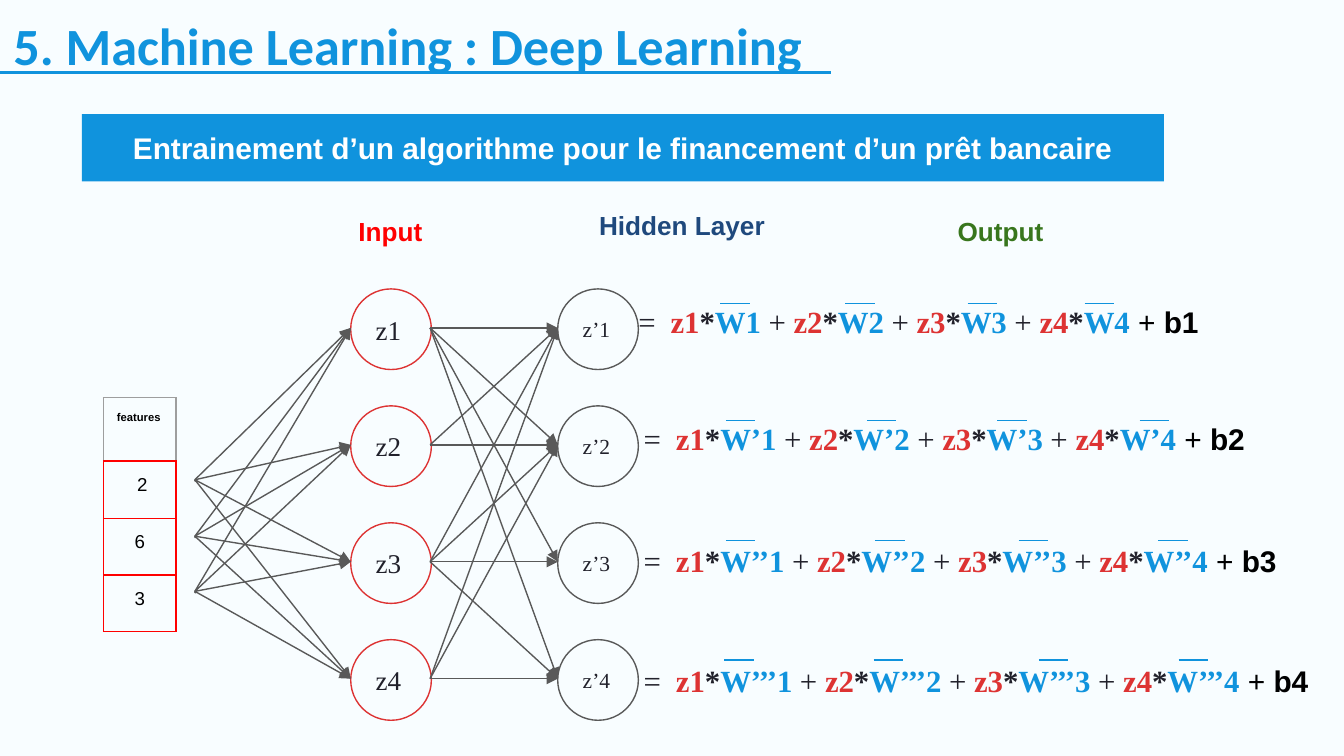
from lxml import etree
from pptx import Presentation
from pptx.dml.color import RGBColor
from pptx.enum.shapes import MSO_CONNECTOR as Connector, MSO_SHAPE as Shape
from pptx.enum.text import MSO_ANCHOR as Anchor, MSO_AUTO_SIZE as AutoSize, PP_ALIGN as Align
from pptx.oxml.ns import qn
from pptx.util import Inches, Pt

COLORS = {
    "background": "F8FDFF", "blue": "1093DD", "red": "DD3333", "pure_red": "FF0000",
    "gray": "595959", "light": "EEEEEE", "border": "9E9E9E", "ink": "21212B",
    "black": "000000", "white": "FFFFFF", "green": "38761D", "navy": "1F497D",
}
SERIF = "Times New Roman"
NODE_SIZE = 0.6
NODE_TOPS = [2.15 + 0.87 * row for row in range(4)]
INPUT_LEFT, HIDDEN_LEFT = 2.61, 4.15
FEATURE_X, FEATURE_YS = 1.45, [3.57, 3.99, 4.4]
MISSING_LINKS = {(1, 2), (1, 3), (3, 2)}

# Left, top and width of each equation, then its bar height and bar starts
EQUATIONS = [
    (4.54, 2.15, 5.06, 2.26, [5.36, 6.29, 7.2, 8.07]),
    (4.58, 3.02, 5.06, 3.13, [5.4, 6.45, 7.42, 8.48]),
    (4.58, 3.93, 5.06, 4.02, [5.4, 6.51, 7.58, 8.62]),
    (4.58, 4.82, 5.4, 4.91, [5.39, 6.5, 7.73, 8.77]),
]


def rgb(name):
    return RGBColor.from_string(COLORS[name])


def style_font(font, size, color, name="Arial", bold=False):
    font.size, font.name, font.bold = Pt(size), name, bold
    font.color.rgb = rgb(color)


def set_frame(frame, vertical=0.1, anchor=Anchor.TOP, grow=False):
    frame.margin_left = frame.margin_right = Inches(0.1)
    frame.margin_top = frame.margin_bottom = Inches(vertical)
    frame.vertical_anchor = anchor
    frame.word_wrap = True
    frame.auto_size = AutoSize.SHAPE_TO_FIT_TEXT if grow else AutoSize.NONE


def write(frame, text, size, color, name="Arial", bold=False, align=Align.LEFT):
    paragraph = frame.paragraphs[0]
    paragraph.text = text
    paragraph.alignment = align
    style_font(paragraph.font, size, color, name, bold)


def add_shape(slide, kind, left, top, width, height, fill=None, line=None):
    shape = slide.shapes.add_shape(
        kind, Inches(left), Inches(top), Inches(width), Inches(height))
    shape.shadow.inherit = False
    if fill:
        shape.fill.solid()
        shape.fill.fore_color.rgb = rgb(fill)
    else:
        shape.fill.background()
    if line:
        shape.line.color.rgb = rgb(line)
        shape.line.width = Pt(0.75)
    else:
        shape.line.fill.background()
    return shape


def add_line(slide, start, end, color, width=0.75, arrow=False):
    connector = slide.shapes.add_connector(
        Connector.STRAIGHT, *[Inches(value) for value in (*start, *end)])
    connector.line.color.rgb = rgb(color)
    connector.line.width = Pt(width)
    if arrow:
        etree.SubElement(connector.line._get_or_add_ln(), qn("a:tailEnd"), type="triangle")
    etree.SubElement(connector._element.spPr, qn("a:effectLst"))


def add_textbox(slide, left, top, width, height):
    box = slide.shapes.add_textbox(
        Inches(left), Inches(top), Inches(width), Inches(height))
    set_frame(box.text_frame, grow=True)
    return box.text_frame


def add_title(slide):
    title = slide.shapes.title
    title.left, title.top = Inches(0), Inches(0)
    title.width, title.height = Inches(8.94), Inches(0.67)
    set_frame(title.text_frame, grow=True)
    write(title.text_frame, "5. Machine Learning : Deep Learning", 28, "blue", "Calibri", True)
    add_line(slide, (0, 0.54), (6.18, 0.54), "blue", 1.5)


def add_banner(slide):
    banner = add_shape(slide, Shape.RECTANGLE, 0.61, 0.85, 8.05, 0.5, fill="blue")
    set_frame(banner.text_frame, 0.05, Anchor.MIDDLE)
    write(banner.text_frame, "Entrainement d’un algorithme pour le financement d’un prêt bancaire",
          16, "white", bold=True, align=Align.CENTER)


def add_node_column(slide, left, prefix, size, line):
    for number, top in enumerate(NODE_TOPS, 1):
        node = add_shape(slide, Shape.OVAL, left, top, NODE_SIZE, NODE_SIZE, line=line)
        set_frame(node.text_frame, anchor=Anchor.MIDDLE)
        write(node.text_frame, f"{prefix}{number}", size, "ink", SERIF)


def add_network_links(slide):
    node_ys = [top + 0.29 for top in NODE_TOPS]
    # Features to input nodes
    for feature_y in FEATURE_YS:
        add_shape(slide, Shape.OVAL, FEATURE_X, feature_y, 0.01, 0.01, "light", "gray")
        for node_y in node_ys:
            add_line(slide, (FEATURE_X, feature_y), (INPUT_LEFT, node_y), "gray", arrow=True)
    # Input nodes to hidden nodes
    for source, source_y in enumerate(node_ys):
        for target, target_y in enumerate(node_ys):
            if (source, target) not in MISSING_LINKS:
                add_line(slide, (3.2, source_y), (HIDDEN_LEFT, target_y), "gray", arrow=True)


def add_run(paragraph, text, color, bold=True, name=SERIF, size=16.5):
    run = paragraph.add_run()
    run.text = text
    style_font(run.font, size, color, name, bold)


def add_equation(slide, number, left, top, width, bar_y, bar_starts):
    frame = add_textbox(slide, left, top, width, 0.48)
    frame.margin_left = Inches(0.21)
    paragraph = frame.paragraphs[0]
    tabs = etree.SubElement(paragraph._p.get_or_add_pPr(), qn("a:tabLst"))
    etree.SubElement(tabs, qn("a:tab"), pos=str(Inches(0.24)), algn="l")
    add_run(paragraph, "=\t", "ink", False)
    for term in range(1, 5):
        if term > 1:
            add_run(paragraph, " + ", "ink", False)
        add_run(paragraph, f"z{term}", "red")
        add_run(paragraph, "*", "ink")
        add_run(paragraph, f"W{'’' * (number - 1)}{term}", "blue")
    add_run(paragraph, " + ", "black", False, "Arial", 16)
    add_run(paragraph, f"b{number}", "black", True, "Arial", 16)
    # Bars over the weights
    for start in bar_starts:
        add_line(slide, (start, bar_y), (start + 0.22, bar_y), "blue")


def set_borders(cell, colors):
    properties = cell._tc.get_or_add_tcPr()
    for side, color in zip("LRTB", colors):
        border = etree.SubElement(properties, qn(f"a:ln{side}"), w=str(Pt(0.75)))
        fill = etree.SubElement(border, qn("a:solidFill"))
        etree.SubElement(fill, qn("a:srgbClr"), val=COLORS[color])


def add_feature_table(slide):
    heights = [0.47, 0.43, 0.42, 0.42]
    table = slide.shapes.add_table(
        4, 1, Inches(0.77), Inches(2.96), Inches(0.54), Inches(sum(heights))).table
    table.first_row = table.horz_banding = False
    for row, (text, height) in enumerate(zip(["features", " 2", "6", "3"], heights)):
        table.rows[row].height = Inches(height)
        cell = table.cell(row, 0)
        cell.margin_left = cell.margin_right = Inches(0.1)
        cell.margin_top = cell.margin_bottom = Inches(0.1)
        header = row == 0
        set_borders(cell, ["border"] * 3 + ["pure_red"] if header else ["pure_red"] * 4)
        cell.fill.background()
        write(cell.text_frame, text, 6 if header else 10, "black", bold=header,
              align=Align.LEFT if header else Align.CENTER)


def main():
    presentation = Presentation()
    # Widescreen, 16:9
    presentation.slide_width, presentation.slide_height = Inches(10), Inches(10 * 9 / 16)
    slide = presentation.slides.add_slide(presentation.slide_layouts[5])
    slide.background.fill.solid()
    slide.background.fill.fore_color.rgb = rgb("background")

    add_title(slide)
    add_banner(slide)

    # Layer headings
    for text, color, left, top, width in [
        ("Input", "pure_red", 1.52, 1.5, 2.77),
        ("Hidden Layer", "navy", 4.34, 1.46, 1.47),
        ("Output", "green", 6.81, 1.5, 1.27),
    ]:
        frame = add_textbox(slide, left, top, width, 0.44)
        write(frame, text, 14, color, bold=True, align=Align.CENTER)

    # Network
    add_feature_table(slide)
    add_node_column(slide, INPUT_LEFT, "z", 14.5, "red")
    add_node_column(slide, HIDDEN_LEFT, "z’", 11.5, "gray")
    add_network_links(slide)
    for number, equation in enumerate(EQUATIONS, 1):
        add_equation(slide, number, *equation)

    presentation.save("out.pptx")


if __name__ == "__main__":
    main()
